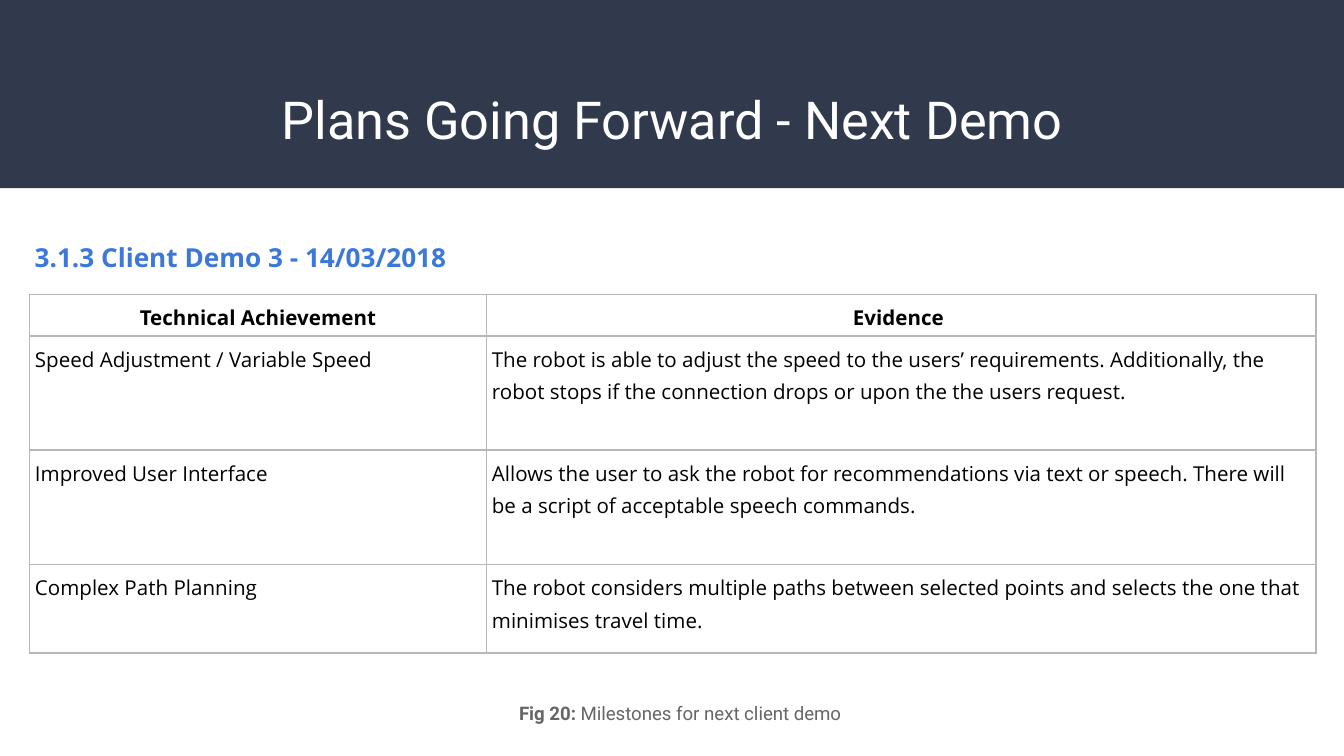
from lxml.etree import SubElement
from pptx import Presentation
from pptx.dml.color import RGBColor
from pptx.enum.shapes import MSO_SHAPE as Shape
from pptx.enum.text import MSO_ANCHOR as Anchor, PP_ALIGN as Align
from pptx.oxml.ns import qn
from pptx.util import Inches, Pt

COLORS = {"band": "31394D", "title": "FFFFFF", "heading": "3C78D8",
          "caption": "666666", "body": "000000", "border": "B7B7B7"}
SLIDE_WIDTH = 10
SLIDE_HEIGHT = SLIDE_WIDTH * 9 / 16
TITLE = [("Plans Going Forward - Next Demo", False)]
HEADING = [("3.1.3 Client Demo 3 - 14/03/2018", True)]
CAPTION = [("Fig 20:", True), (" Milestones for next client demo", False)]
ROWS = [
    ("Technical Achievement", "Evidence "),
    ("Speed Adjustment / Variable Speed",
     "The robot is able to adjust the speed to the users’ requirements. Additionally, "
     "the robot stops if the connection drops or upon the the users request."),
    ("Improved User Interface",
     "Allows the user to ask the robot for recommendations via text or speech. "
     "There will be a script of acceptable speech commands."),
    ("Complex Path Planning",
     "The robot considers multiple paths between selected points and selects the one "
     "that minimises travel time."),
]
COLUMN_WIDTHS = [3.4, 6.17]
ROW_HEIGHTS = [0.31, 0.85, 0.85, 0.66]


def color(name):
    return RGBColor.from_string(COLORS[name])


def set_margins(target, horizontal, vertical):
    target.margin_left = target.margin_right = Inches(horizontal)
    target.margin_top = target.margin_bottom = Inches(vertical)


def write(paragraph, runs, font_name, size, color_name, align, spacing=1.0):
    paragraph.alignment = align
    paragraph.line_spacing = spacing
    for text, bold in runs:
        run = paragraph.add_run()
        run.text = text
        font = run.font
        font.name, font.size, font.bold = font_name, Pt(size), bold
        font.color.rgb = color(color_name)


def add_text(slide, box, vertical_margin, wrap, *style):
    frame = slide.shapes.add_textbox(*map(Inches, box)).text_frame
    frame.word_wrap = wrap
    frame.vertical_anchor = Anchor.TOP
    set_margins(frame, 0.1, vertical_margin)
    write(frame.paragraphs[0], *style)


def add_borders(cell):
    properties = cell._tc.get_or_add_tcPr()
    for side in ("lnL", "lnR", "lnT", "lnB"):
        line = SubElement(properties, qn(f"a:{side}"), w=str(Pt(1)))
        fill = SubElement(line, qn("a:solidFill"))
        SubElement(fill, qn("a:srgbClr"), val=COLORS["border"])


def add_milestones(slide):
    table = slide.shapes.add_table(
        len(ROWS), len(COLUMN_WIDTHS), Inches(0.22), Inches(2.19),
        Inches(sum(COLUMN_WIDTHS)), Inches(sum(ROW_HEIGHTS))).table
    table.first_row = table.horz_banding = False
    for column, width in zip(table.columns, COLUMN_WIDTHS):
        column.width = Inches(width)
    for row, height, texts in zip(table.rows, ROW_HEIGHTS, ROWS):
        row.height = Inches(height)
        header = texts == ROWS[0]
        for cell, text in zip(row.cells, texts):
            set_margins(cell, 0.04, 0.04)
            add_borders(cell)
            cell.fill.background()
            write(cell.text_frame.paragraphs[0], [(text, header)], "Open Sans", 11,
                  "body", Align.CENTER if header else Align.LEFT, 1.15)


presentation = Presentation()
presentation.slide_width = Inches(SLIDE_WIDTH)
presentation.slide_height = Inches(SLIDE_HEIGHT)
slide = presentation.slides.add_slide(presentation.slide_layouts[6])

band = slide.shapes.add_shape(Shape.RECTANGLE, 0, 0, Inches(SLIDE_WIDTH), Inches(1.4))
band.shadow.inherit = False
band.fill.solid()
band.fill.fore_color.rgb = color("band")
band.line.fill.background()

add_text(slide, (0.34, 0.55, 9.32, 0.68), 0.1, True,
         TITLE, "Roboto", 28, "title", Align.CENTER)
add_text(slide, (1.06, 5.14, 8, 0.32), 0.1, True,
         CAPTION, "Roboto", 10, "caption", Align.CENTER)
add_milestones(slide)
add_text(slide, (0.16, 1.71, 3.27, 0.37), 0.05, False,
         HEADING, "Open Sans", 14, "heading", Align.LEFT, 1.15)

presentation.save("out.pptx")
